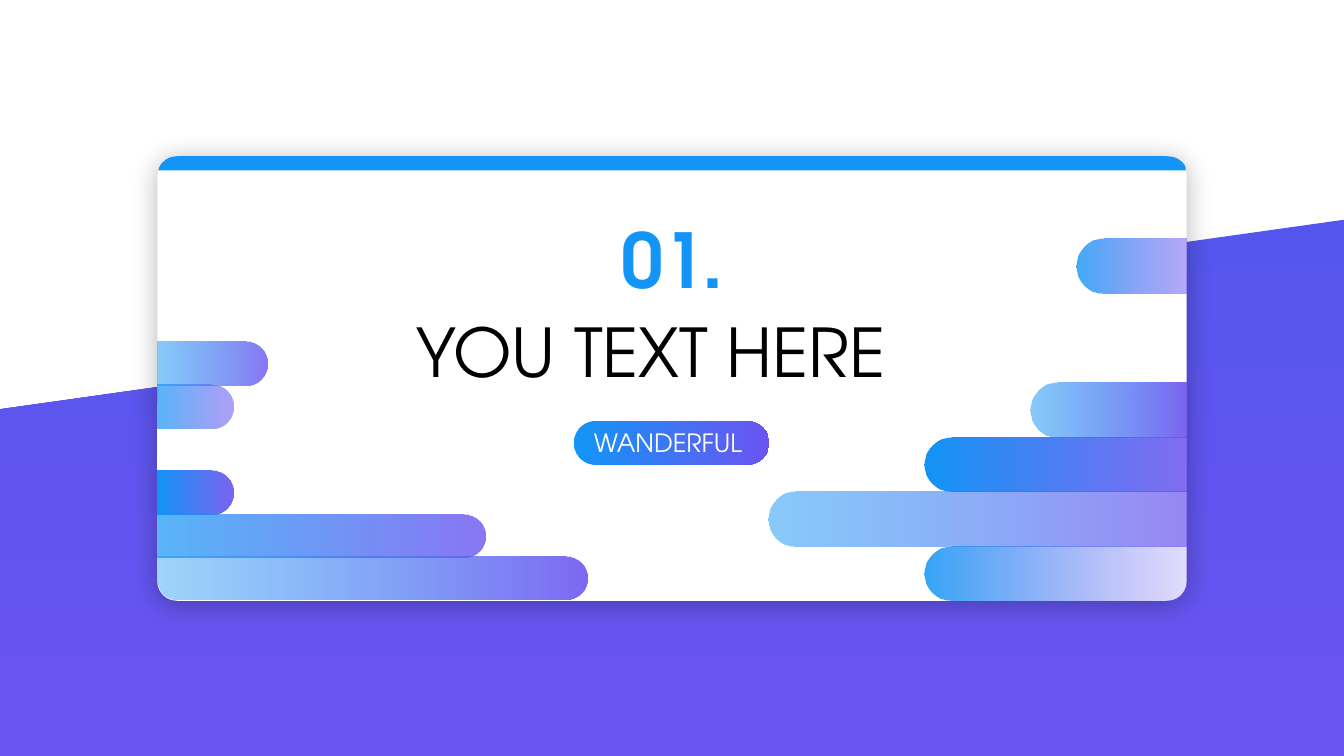
from dataclasses import dataclass

import lxml.etree
import pptx
import pptx.dml.color
import pptx.enum.shapes
import pptx.enum.text
import pptx.oxml.ns
import pptx.util

Inches = pptx.util.Inches
Align = pptx.enum.text.PP_ALIGN
Shape = pptx.enum.shapes.MSO_SHAPE
qn = pptx.oxml.ns.qn


@dataclass(frozen=True)
class Theme:
    face: str = "TeX Gyre Adventor"
    blue: str = "1295F6"
    violet: str = "6B54F1"
    indigo: str = "5556ED"
    white: str = "FFFFFF"
    black: str = "000000"
    number: int = 54
    title: int = 48
    label: int = 18
    radius: float = 0.19
    bend: float = 0.45


THEME = Theme()


def rgb(code):
    return pptx.dml.color.RGBColor.from_string(code)


def paint(shape, tones, angle=0, alphas=(100, 100)):
    shape.shadow.inherit = False
    shape.line.fill.background()
    if len(tones) == 1:
        shape.fill.solid()
        shape.fill.fore_color.rgb = rgb(tones[0])
        return
    shape.fill.gradient()
    shape.fill.gradient_angle = angle
    for stop, tone in zip(shape.fill.gradient_stops, tones):
        stop.color.rgb = rgb(tone)
    for color, alpha in zip(shape.element.iter(qn("a:srgbClr")), alphas):
        if alpha < 100:
            lxml.etree.SubElement(color, qn("a:alpha"), val=str(alpha * 1000))


def trace(shapes, start, moves):
    spots = [(Inches(x), Inches(y)) for move in moves for x, y in move]
    form = shapes.build_freeform(*map(Inches, start))
    form.add_line_segments(spots, close=True)
    shape = form.convert_to_shape()
    lines = iter(list(shape.element.iter(qn("a:lnTo"))))
    for move in moves:
        parts = [next(lines) for spot in move]
        if len(parts) == 3:
            outline = parts[0].getparent()
            curve = outline.makeelement(qn("a:cubicBezTo"))
            parts[0].addprevious(curve)
            for part in parts:
                curve.append(part[0])
                outline.remove(part)
    return shape


def round_box(shapes, box, radii):
    left, top, width, height = box
    right, base = left + width, top + height
    start = last = (left + radii[0], top)
    corners = [
        (right, top, 1, 0),
        (right, base, 0, 1),
        (left, base, -1, 0),
        (left, top, 0, -1),
    ]
    moves = []
    for (x, y, dx, dy), radius in zip(corners, radii[1:] + radii[:1]):
        near = (x - dx * radius, y - dy * radius)
        if max(abs(near[0] - last[0]), abs(near[1] - last[1])) > 0.001:
            moves.append([near])
        last = near
        if radius:
            pull = THEME.bend * radius
            last = (x - dy * radius, y + dx * radius)
            moves.append([(x - dx * pull, y - dy * pull),
                          (x - dy * pull, y + dx * pull), last])
    if len(moves[-1]) == 1:
        moves.pop()
    return trace(shapes, start, moves)


def add_text(shapes, box, words, style, align):
    area = shapes.add_textbox(*map(Inches, box))
    frame = area.text_frame
    frame.word_wrap = True
    frame.auto_size = pptx.enum.text.MSO_AUTO_SIZE.SHAPE_TO_FIT_TEXT
    line = frame.paragraphs[0]
    line.alignment = align
    run = line.add_run()
    run.text = words
    font = run.font
    for key, value in {"name": THEME.face, **style}.items():
        if key == "color":
            font.color.rgb = rgb(value)
        else:
            setattr(font, key, value)


def add_ground(shapes, box):
    left, top, width, height = box
    right, base = left + width, top + height
    moves = [[(right, base)], [(left, base)], [(left, top + 1.88)]]
    slope = trace(shapes, (right, top), moves)
    paint(slope, (THEME.indigo, THEME.violet), 270)


def add_strip(shapes, box):
    left, top, width, height = box
    right, base = left + width, top + height
    moves = [
        [(right - 0.19, top)],
        [(right - 0.1, top), (right - 0.03, top + 0.04), (right, top + 0.11)],
        [(right, base)],
        [(left, base)],
        [(left + 0.01, top + 0.11)],
        [(left + 0.04, top + 0.04), (left + 0.11, top), (left + 0.19, top)],
    ]
    paint(trace(shapes, (left + 0.19, top), moves), (THEME.blue,))


def add_card(shapes, box):
    left, top, width, height = box
    card = shapes.add_shape(Shape.ROUNDED_RECTANGLE, *map(Inches, box))
    card.adjustments[0] = 0.044
    paint(card, (THEME.white,))
    effects = card.element.spPr.find(qn("a:effectLst"))
    shadow = lxml.etree.SubElement(
        effects, qn("a:outerShdw"), blurRad=str(pptx.util.Pt(19)),
        dist=str(pptx.util.Pt(3)), dir="5400000", algn="t", rotWithShape="0")
    color = lxml.etree.SubElement(shadow, qn("a:srgbClr"), val=THEME.black)
    lxml.etree.SubElement(color, qn("a:alpha"), val="28000")
    add_strip(shapes, (left + 0.01, top, width - 0.02, 0.14))


def add_bars(shapes, box, bars, thick, east):
    left, top, width, height = box
    group = shapes.add_group_shape().shapes
    cap = thick / 2
    for drop, length, *alphas in bars:
        foot = THEME.radius if drop + thick > height - 0.05 else 0
        radii = (cap, 0, foot, cap) if east else (0, cap, cap, foot)
        start = left + width - length if east else left
        bar = round_box(group, (start, top + drop, length, thick), radii)
        paint(bar, (THEME.blue, THEME.violet), 0, alphas)


def add_badge(shapes, box, words):
    left, top, width, height = box
    group = shapes.add_group_shape().shapes
    pill = group.add_shape(Shape.ROUNDED_RECTANGLE, *map(Inches, box))
    pill.adjustments[0] = 0.5
    paint(pill, (THEME.blue, THEME.violet))
    style = {"size": pptx.util.Pt(THEME.label), "color": THEME.white}
    add_text(group, (left + 0.02, top + 0.01, width - 0.04, 0.4), words, style, Align.CENTER)


def add_title(shapes, box, words):
    style = {"size": pptx.util.Pt(THEME.title), "color": THEME.black}
    add_text(shapes, box, words, style, Align.JUSTIFY)


def add_number(shapes, box, words):
    style = {"size": pptx.util.Pt(THEME.number), "bold": True, "color": THEME.blue}
    add_text(shapes, box, words, style, Align.CENTER)


def main():
    deck = pptx.Presentation()
    deck.slide_width, deck.slide_height = Inches(13.33), Inches(7.5)
    shapes = deck.slides.add_slide(deck.slide_layouts[6]).shapes
    panel = (1.56, 1.55, 10.21, 4.41)
    west = [
        (1.84, 1.09, 50, 80),
        (2.27, 0.76, 70, 55),
        (3.12, 0.76, 100, 90),
        (3.55, 3.26, 70, 80),
        (3.97, 4.27, 40, 88),
    ]
    east = [
        (2.25, 1.55, 50, 90),
        (2.79, 2.6, 100, 85),
        (3.33, 4.15, 50, 70),
        (3.87, 2.6, 85, 20),
        (0.82, 1.09, 80, 50),
    ]
    add_ground(shapes, (0, 2.18, 13.33, 5.32))
    add_card(shapes, panel)
    add_title(shapes, (4.03, 3.03, 5.28, 0.91), "YOU TEXT HERE")
    add_bars(shapes, panel, west, 0.43, False)
    add_bars(shapes, panel, east, 0.54, True)
    add_badge(shapes, (5.69, 4.18, 1.94, 0.43), "WANDERFUL ")
    add_number(shapes, (3.81, 2.06, 5.72, 1.01), "01.")
    deck.save("out.pptx")


if __name__ == "__main__":
    main()
